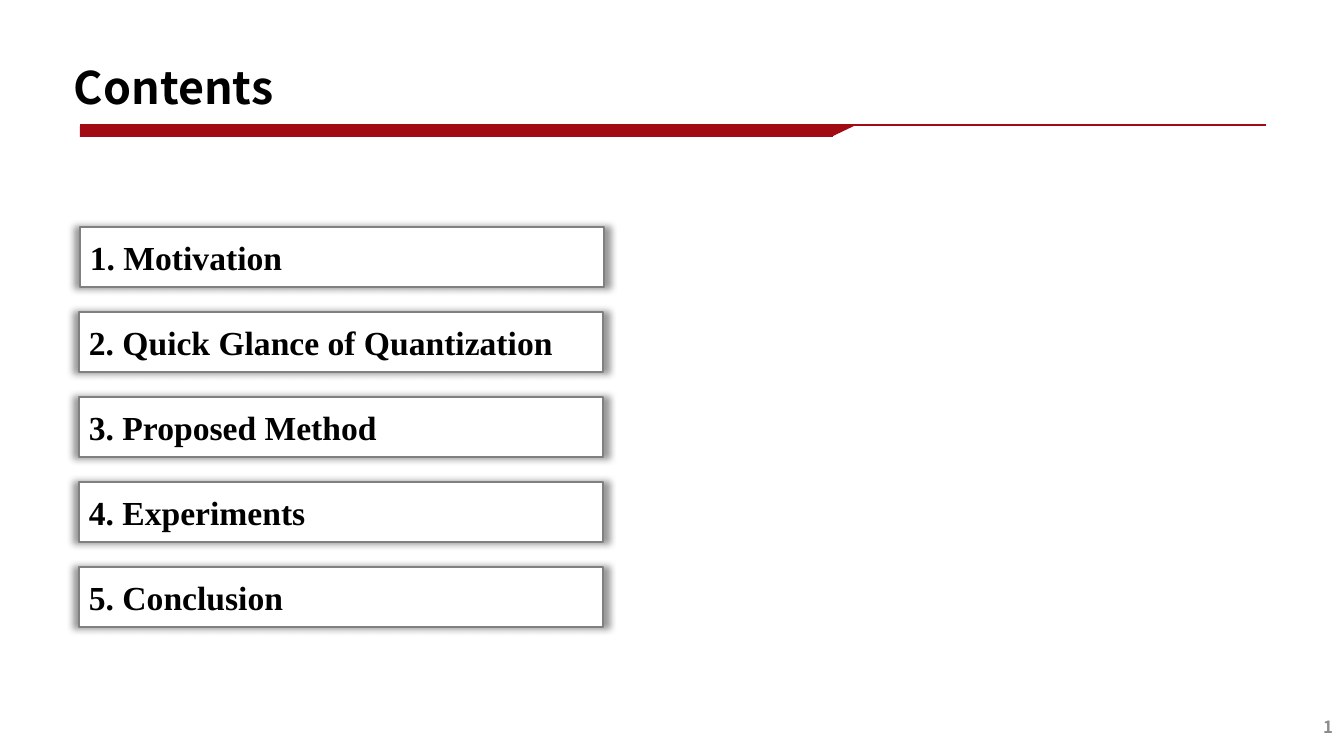
import pptx
import pptx.dml.color
import pptx.enum.shapes
import pptx.enum.text
import pptx.oxml
import pptx.oxml.ns
import pptx.util

EMU_PER_PX = 914400 / 100.8
SHAPES = pptx.enum.shapes.MSO_SHAPE
ALIGN = pptx.enum.text.PP_ALIGN
RED, BLACK, WHITE, GRAY, PALE_GRAY = "A00B14", "000000", "FFFFFF", "808080", "8C8C8C"
SANS, SERIF = "Noto Sans CJK SC", "Times New Roman"
TOPICS = ["Motivation", "Quick Glance of Quantization", "Proposed Method",
          "Experiments", "Conclusion"]
TOPIC_TOP, TOPIC_PITCH = 227, 85


def px(*lengths):
    return [pptx.util.Emu(round(length * EMU_PER_PX)) for length in lengths]


def color(value):
    return pptx.dml.color.RGBColor.from_string(value)


class SlideBuilder:
    def __init__(self, slide):
        self.slide = slide

    def set_text(self, shape, text, font_name, size, text_color, align=ALIGN.LEFT):
        shape.text_frame.word_wrap = True
        paragraph = shape.text_frame.paragraphs[0]
        paragraph.text = text
        paragraph.alignment = align
        paragraph.font.name = font_name
        paragraph.font.size = pptx.util.Pt(size)
        paragraph.font.bold = True
        paragraph.font.color.rgb = color(text_color)
        return paragraph

    def text(self, box, text, size, text_color, align=ALIGN.LEFT):
        shape = self.slide.shapes.add_textbox(*px(*box))
        paragraph = self.set_text(shape, text, SANS, size, text_color, align)
        paragraph.line_spacing = 0.9

    def shape(self, kind, box, fill):
        shape = self.slide.shapes.add_shape(kind, *px(*box))
        shape.shadow.inherit = False
        shape.fill.solid()
        shape.fill.fore_color.rgb = color(fill)
        shape.line.fill.background()
        return shape

    def line(self, start, end, line_color, width):
        connector = self.slide.shapes.add_connector(
            pptx.enum.shapes.MSO_CONNECTOR.STRAIGHT, *px(*start, *end))
        connector.line.color.rgb = color(line_color)
        connector.line.width = pptx.util.Pt(width)
        properties = connector._element.spPr
        properties.append(pptx.oxml.parse_xml(
            f'<a:effectLst {pptx.oxml.ns.nsdecls("a")}/>'))

    def topic(self, box, text):
        shape = self.shape(SHAPES.RECTANGLE, box, WHITE)
        shape.line.color.rgb = color(GRAY)
        shape.line.width = pptx.util.Pt(1.5)
        self.glow(shape)
        shape.text_frame.vertical_anchor = pptx.enum.text.MSO_ANCHOR.MIDDLE
        self.set_text(shape, text, SERIF, 24, BLACK)

    def glow(self, shape):
        """Add a soft centred shadow slightly larger than the shape."""
        effects = shape._element.spPr.find(pptx.oxml.ns.qn("a:effectLst"))
        effects.append(pptx.oxml.parse_xml(
            f'<a:outerShdw {pptx.oxml.ns.nsdecls("a")} blurRad="63500" '
            'sx="102000" sy="102000" algn="ctr" rotWithShape="0">'
            f'<a:srgbClr val="{BLACK}"><a:alpha val="40000"/></a:srgbClr>'
            '</a:outerShdw>'))


def main():
    presentation = pptx.Presentation()
    presentation.slide_width, presentation.slide_height = px(1344, 756)
    builder = SlideBuilder(presentation.slides.add_slide(presentation.slide_layouts[6]))

    builder.shape(SHAPES.RECTANGLE, (80, 126, 753, 11), RED)
    bar_tip = builder.shape(SHAPES.RIGHT_TRIANGLE, (839, 119, 11, 23), RED)
    bar_tip.rotation = 90
    builder.line((80, 125), (1266, 125), RED, 1.25)

    builder.text((1296, 714, 47, 42), "1", 12, PALE_GRAY, ALIGN.RIGHT)
    builder.text((64, 61, 1132, 65), "Contents", 32, BLACK)

    for index, topic in enumerate(TOPICS):
        left = 80 if index == 0 else 79
        top = TOPIC_TOP + index * TOPIC_PITCH
        builder.topic((left, top, 524, 60), f"{index + 1}. {topic}")

    presentation.save("out.pptx")


if __name__ == "__main__":
    main()
